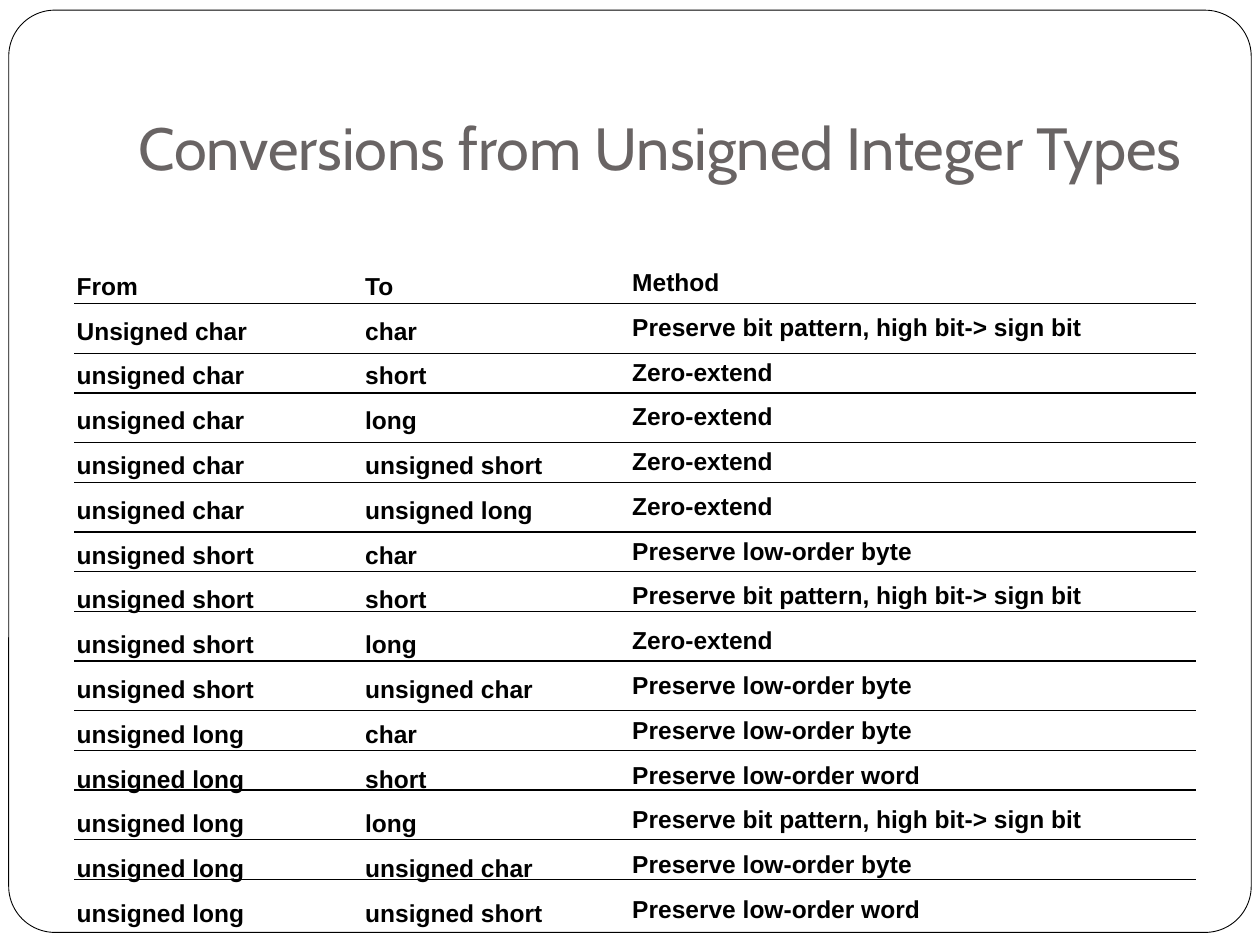
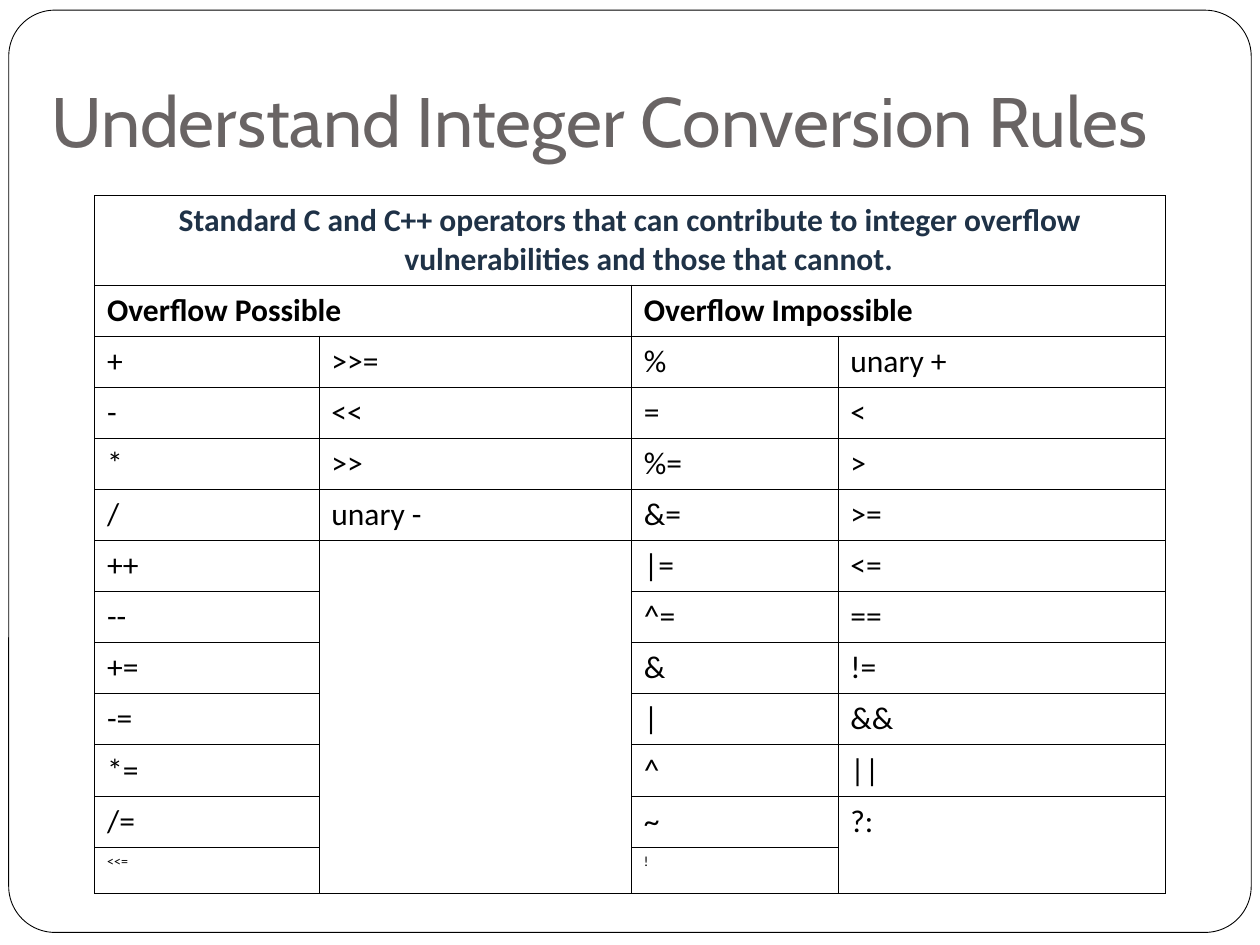
from itertools import accumulate
from lxml.etree import SubElement
from pptx import Presentation
from pptx.dml.color import RGBColor
from pptx.enum.shapes import MSO_CONNECTOR, MSO_SHAPE
from pptx.enum.text import MSO_ANCHOR, MSO_AUTO_SIZE, PP_ALIGN
from pptx.oxml.ns import qn
from pptx.util import Pt

# Content
TITLES = ["Conversions from Unsigned Integer Types",
          "Understand Integer Conversion Rules"]

SIGN = "Preserve bit pattern, high bit-> sign bit"
ZERO = "Zero-extend"
BYTE = "Preserve low-order byte"
WORD = "Preserve low-order word"
RULES = [
    ("From", "To", "Method"),
    ("Unsigned char", "char", SIGN),
    ("unsigned char", "short", ZERO),
    ("unsigned char", "long", ZERO),
    ("unsigned char", "unsigned short", ZERO),
    ("unsigned char", "unsigned long", ZERO),
    ("unsigned short", "char", BYTE),
    ("unsigned short", "short", SIGN),
    ("unsigned short", "long", ZERO),
    ("unsigned short", "unsigned char", BYTE),
    ("unsigned long", "char", BYTE),
    ("unsigned long", "short", WORD),
    ("unsigned long", "long", SIGN),
    ("unsigned long", "unsigned char", BYTE),
    ("unsigned long", "unsigned short", WORD),
]

HEAD = ("Standard C and C++ operators that can contribute to integer overflow "
        "vulnerabilities and those that cannot.")
CELLS = [
    (HEAD, "", "", ""),
    ("Overflow Possible", "", "Overflow Impossible", ""),
    ("+", ">>=", "%", "unary +"),
    ("-", "<<", "=", "<"),
    ("*", ">>", "%=", ">"),
    ("/", "unary -", "&=", ">="),
    ("++", "", "|=", "<="),
    ("--", "", "^=", "=="),
    ("+=", "", "&", "!="),
    ("-=", "", "|", "&&"),
    ("*=", "", "^", "||"),
    ("/=", "", "~", "?:"),
    ("<<=", "", "!", ""),
]
SPANS = [((0, 0), (0, 3)), ((1, 0), (1, 1)), ((1, 2), (1, 3)),
         ((6, 1), (12, 1)), ((11, 3), (12, 3))]

# Formats, in points
HUES = {"ink": "000000", "paper": "FFFFFF", "title": "696464", "head": "1F3247"}
TITLE = {"name": "Cabin", "bold": False}
LIST = {"name": "Arial", "size": Pt(14), "bold": True}
CELL = {"name": "Calibri", "size": Pt(18), "bold": False}
FRAME = (5, 5.8, 710, 527)
HEADS = [((72, 21.6, 612, 90), 34), ((22.3, 9.4, 660.3, 90), 40)]
COLS = [(36.7, 151.2, 187.2), (201.6, 151.2, 193), (354.2, 149, 385.2)]
DEEP = 382.3                              # height of a text column
LEFT, RIGHT, FIRST = 42.5, 683.3, 173.5   # ruled lines
STEPS = {"L": 28.4, "S": 22.65}           # large and small line gaps
GAPS = "LSLSLSSLLSSLS"
WIDTHS = [128.2, 178.6, 118, 187.2]
HIGHS = [50.4] + [28.9] * 11 + [26.6]


def tint(name):
    return RGBColor.from_string(HUES[name])


def style(item, form, hue=None):
    for key, val in form.items():
        setattr(item, key, val)
    if hue:
        item.color.rgb = tint(hue)


def box(*vals):
    return [Pt(val) for val in vals]


def add_page(deck, text, place, size):
    page = deck.slides.add_slide(deck.slide_layouts[5])
    head = page.shapes.title
    style(head, dict(zip(("left", "top", "width", "height"), box(*place))))
    style(head.text_frame, {
        "text": text, "vertical_anchor": MSO_ANCHOR.BOTTOM, "word_wrap": True,
        "auto_size": MSO_AUTO_SIZE.NONE, "margin_bottom": Pt(7.2)})
    para = head.text_frame.paragraphs[0]
    para.alignment = PP_ALIGN.LEFT
    style(para.runs[0].font, TITLE | {"size": Pt(size)}, "title")
    return page


def add_frame(page):
    # Rounded border, moved to the layout so that both slides share it
    frame = page.shapes.add_shape(MSO_SHAPE.ROUNDED_RECTANGLE, *box(*FRAME))
    frame.adjustments[0] = 0.05
    frame.shadow.inherit = False
    frame.fill.solid()
    frame.fill.fore_color.rgb = tint("paper")
    style(frame.line, {"width": Pt(0.5)}, "ink")
    page.slide_layout.shapes.element.insert(2, frame.element)


def add_lists(page):
    # One text column per field
    for (left, top, wide), words in zip(COLS, zip(*RULES)):
        frame = page.shapes.add_textbox(*box(left, top, wide, DEEP)).text_frame
        style(frame, {"word_wrap": True, "text": "\n".join(words)})
        for para in frame.paragraphs:
            para.space_before = Pt(8.8)
            style(para.runs[0].font, LIST, "ink")
    # Lines between rows
    for y in accumulate((STEPS[gap] for gap in GAPS), initial=FIRST):
        line = page.shapes.add_connector(MSO_CONNECTOR.STRAIGHT,
                                         *box(LEFT, y, RIGHT, y))
        style(line.line, {"width": Pt(0.75)}, "ink")
        SubElement(line.element.spPr, qn("a:effectLst"))


def add_edges(cell):
    props = cell._tc.get_or_add_tcPr()
    for side in "LRTB":
        edge = SubElement(props, qn(f"a:ln{side}"), w=str(Pt(0.34)))
        fill = SubElement(edge, qn("a:solidFill"))
        SubElement(fill, qn("a:srgbClr"), val=HUES["ink"])


def fill_cell(cell, text, row):
    add_edges(cell)
    cell.fill.background()
    if not text:
        return
    cell.text = text
    para = cell.text_frame.paragraphs[0]
    props = para._p.get_or_add_pPr()
    props.set("marL", str(Pt(21.6)))
    props.set("indent", str(-Pt(21.6)))
    form = CELL | {"bold": row < 2}
    if row == len(CELLS) - 1:
        form["size"] = Pt(8)
    style(para.runs[0].font, form, "ink" if row else "head")
    if row == 0:
        para.alignment = PP_ALIGN.CENTER
        cell.vertical_anchor = MSO_ANCHOR.MIDDLE


def add_grid(page):
    size = box(54, 111.6, sum(WIDTHS), sum(HIGHS))
    grid = page.shapes.add_table(len(CELLS), len(WIDTHS), *size).table
    style(grid, {"first_row": False, "horz_banding": False})
    for col, wide in zip(grid.columns, WIDTHS):
        col.width = Pt(wide)
    for row, high in zip(grid.rows, HIGHS):
        row.height = Pt(high)
    for start, end in SPANS:
        grid.cell(*start).merge(grid.cell(*end))
    for r, words in enumerate(CELLS):
        for c, text in enumerate(words):
            fill_cell(grid.cell(r, c), text, r)


def main():
    deck = Presentation()
    style(deck, {"slide_width": Pt(720), "slide_height": Pt(540)})
    pages = [add_page(deck, text, *head) for text, head in zip(TITLES, HEADS)]
    add_frame(pages[0])
    add_lists(pages[0])
    add_grid(pages[1])
    deck.save("out.pptx")


if __name__ == "__main__":
    main()
